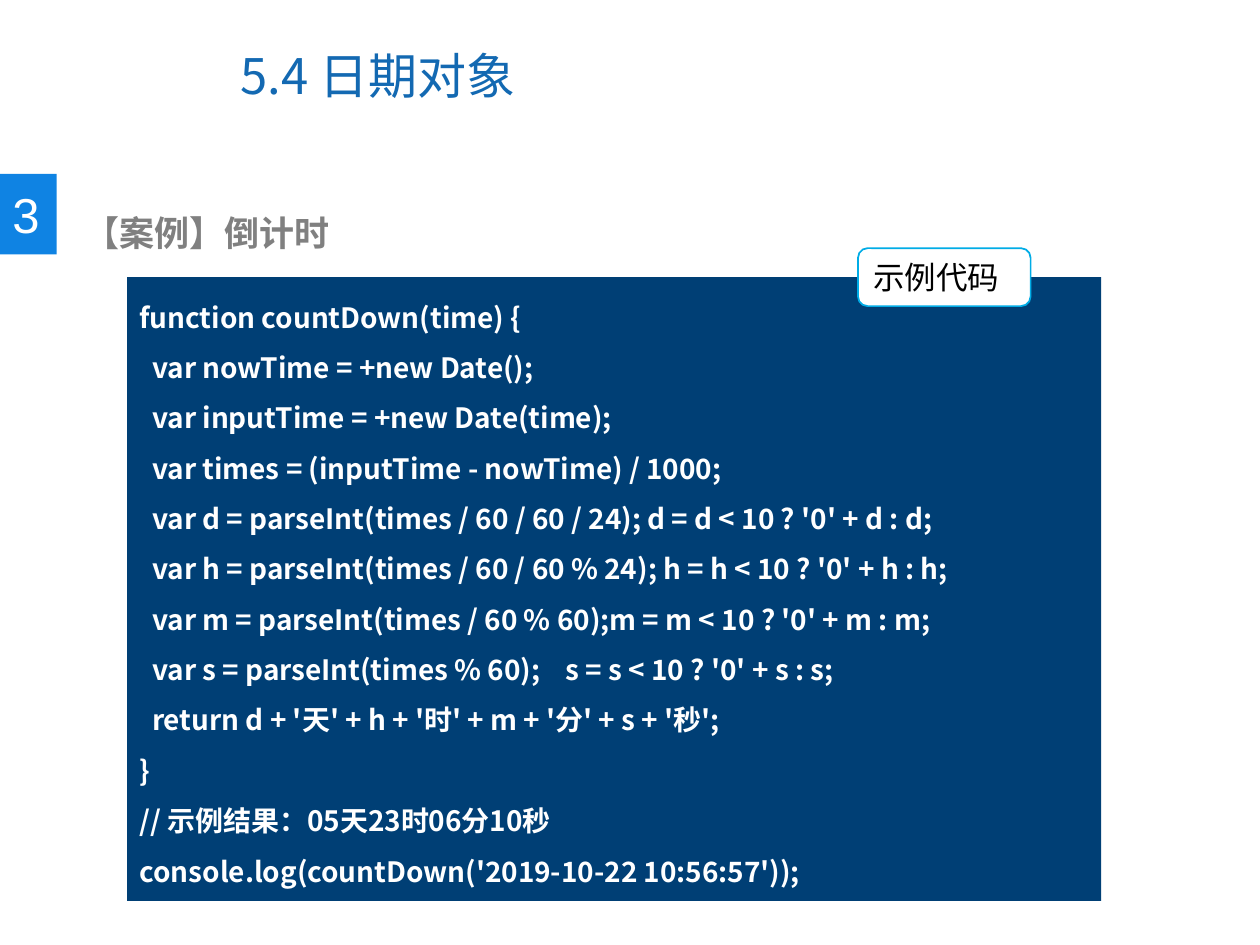
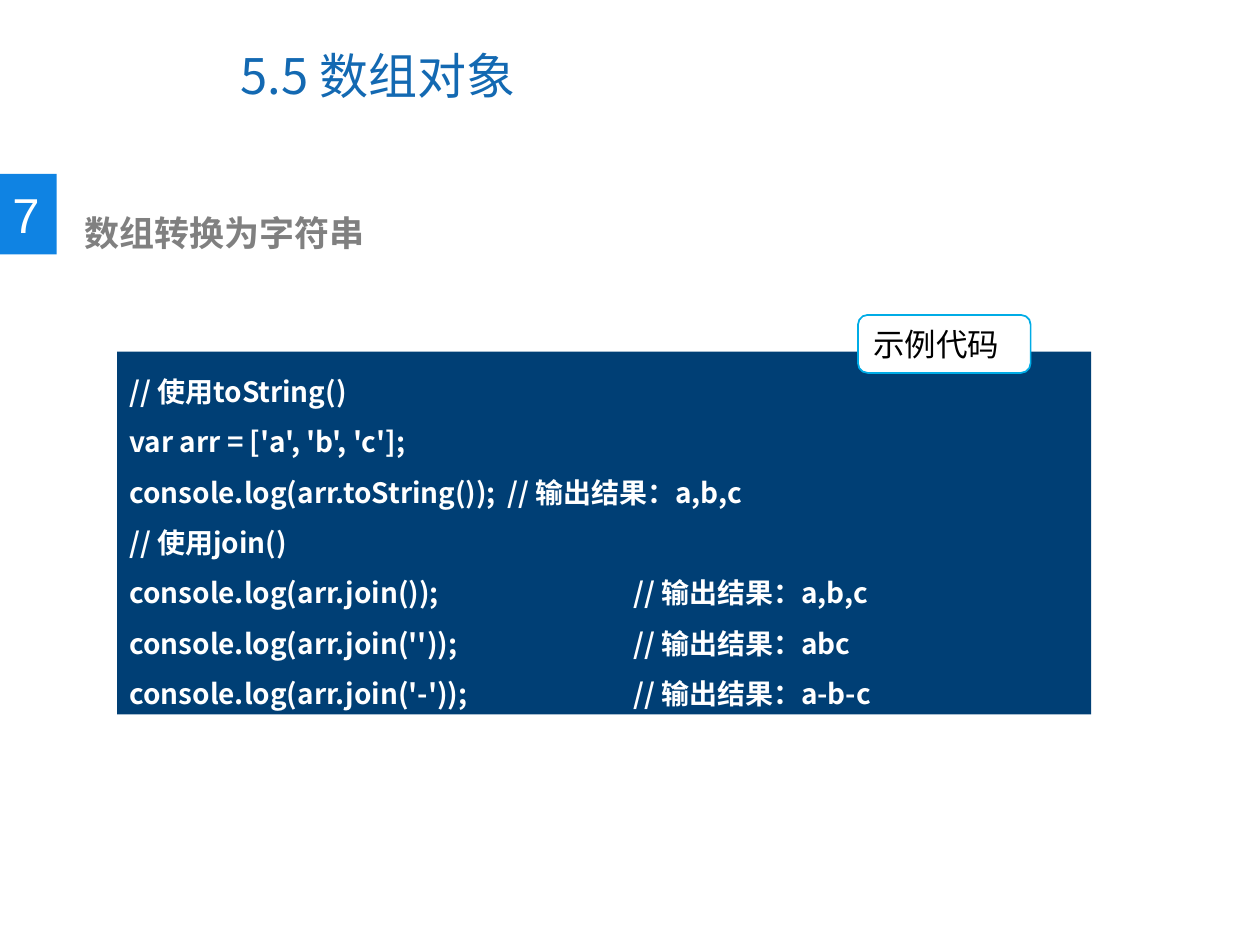
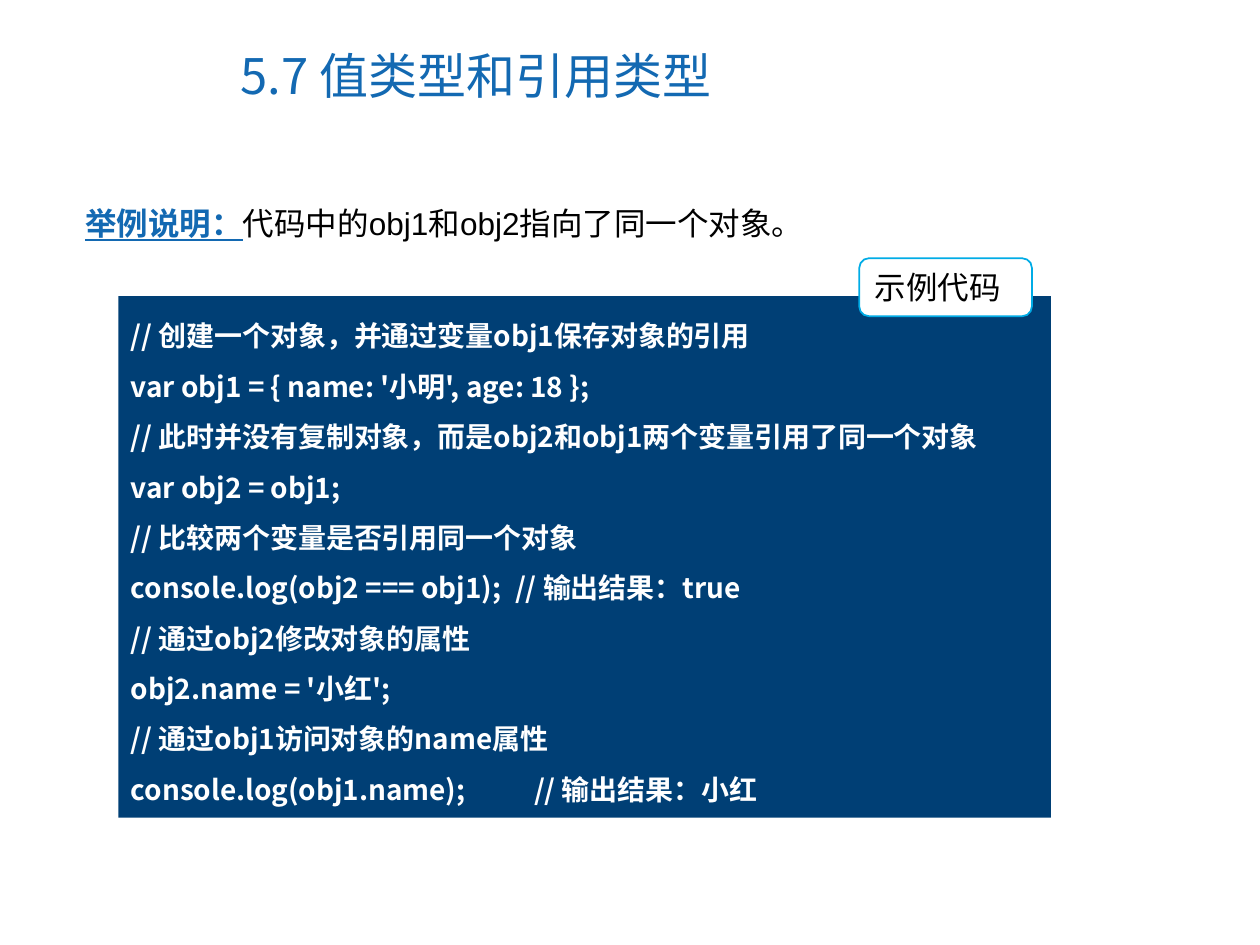
from lxml import etree
from pptx import Presentation
from pptx.dml.color import RGBColor
from pptx.enum.shapes import MSO_SHAPE
from pptx.enum.text import MSO_ANCHOR, PP_ALIGN
from pptx.oxml.ns import qn
from pptx.util import Inches, Pt

RECTANGLE, ROUNDED = MSO_SHAPE.RECTANGLE, MSO_SHAPE.ROUNDED_RECTANGLE
TOP, MIDDLE, LEFT = MSO_ANCHOR.TOP, MSO_ANCHOR.MIDDLE, PP_ALIGN.LEFT
CJK, LATIN = "Noto Sans CJK SC", "Arial"
TITLE_BLUE, BADGE_BLUE, CODE_BLUE, TAG_BLUE = "1369B2", "0F83E3", "003F75", "00ACE6"
WHITE, BLACK, GREY = "FFFFFF", "000000", "808080"
TITLE_BOX = (1.81, 0.17, 5.16, 0.85)
BADGE_BOX = (0, 1.38, 0.45, 0.64)
HEADING_BOX = (0.57, 1.63, 5.04, 0.44)
EXAMPLE_BOX = (0.58, 1.27, 8.98, 0.71)
TAG_WIDTH, TAG_HEIGHT = 1.37, 0.46
INDENT = 0.1

lessons = [
    {
        "title": "5.4 日期对象",
        "number": "3",
        "heading": [("【案例】倒计时", {"size": 20, "color": GREY, "bold": True})],
        "panel": (1.01, 2.2, 7.73, 4.95),
        "tag": (6.81, 1.97),
        "tabs": [3.28],
        "code": """function countDown(time) {
  var nowTime = +new Date();
  var inputTime = +new Date(time);
  var times = (inputTime - nowTime) / 1000;
  var d = parseInt(times / 60 / 60 / 24); d = d < 10 ? '0' + d : d;
  var h = parseInt(times / 60 / 60 % 24); h = h < 10 ? '0' + h : h;
  var m = parseInt(times / 60 % 60);m = m < 10 ? '0' + m : m;
  var s = parseInt(times % 60);\ts = s < 10 ? '0' + s : s;
  return d + '天' + h + '时' + m + '分' + s + '秒';
}
// 示例结果：05天23时06分10秒
console.log(countDown('2019-10-22 10:56:57'));""",
    },
    {
        "title": "5.5 数组对象",
        "number": "7",
        "heading": [("数组转换为字符串", {"size": 20, "color": GREY, "bold": True})],
        "panel": (0.93, 2.79, 7.73, 2.88),
        "tag": (6.81, 2.5),
        "tabs": [3, 4],
        "code": """// 使用toString()
var arr = ['a', 'b', 'c'];
console.log(arr.toString());\t// 输出结果：a,b,c
// 使用join()
console.log(arr.join());\t\t// 输出结果：a,b,c
console.log(arr.join(''));\t\t// 输出结果：abc
console.log(arr.join('-'));\t\t// 输出结果：a-b-c""",
    },
    {
        "title": "5.7 值类型和引用类型",
        "heading": [
            ("举例说明：", {"color": TITLE_BLUE, "bold": True, "underline": True}),
            ("代码中的obj1和obj2指向了同一个对象。", {}),
        ],
        "panel": (0.94, 2.35, 7.4, 4.14),
        "tag": (6.82, 2.05),
        "tabs": [3.05, 3.2],
        "code": """// 创建一个对象，并通过变量obj1保存对象的引用
var obj1 = { name: '小明', age: 18 };
// 此时并没有复制对象，而是obj2和obj1两个变量引用了同一个对象
var obj2 = obj1;
// 比较两个变量是否引用同一个对象
console.log(obj2 === obj1);\t// 输出结果：true
// 通过obj2修改对象的属性
obj2.name = '小红';
// 通过obj1访问对象的name属性
console.log(obj1.name);\t\t// 输出结果：小红""",
    },
]


def write(paragraph, text, size=18, color=BLACK, font=LATIN, bold=False, underline=False, spacing=1.0):
    paragraph.alignment = LEFT
    paragraph.line_spacing = spacing
    run = paragraph.add_run()
    run.text = text
    run.font.size = Pt(size)
    run.font.bold = bold
    run.font.underline = underline
    run.font.color.rgb = RGBColor.from_string(color)
    run.font.name = font
    etree.SubElement(run.font._element, qn("a:ea"), typeface=CJK)


def add_block(slide, kind, box, fill, line=None, anchor=MIDDLE):
    block = slide.shapes.add_shape(kind, *map(Inches, box))
    block.shadow.inherit = False
    block.fill.solid()
    block.fill.fore_color.rgb = RGBColor.from_string(fill)
    if line:
        block.line.color.rgb = RGBColor.from_string(line)
        block.line.width = Pt(1)
    else:
        block.line.fill.background()
    block.text_frame.vertical_anchor = anchor
    return block.text_frame


deck = Presentation()
deck.slide_width, deck.slide_height = Inches(10), Inches(7.5)
title_only = deck.slide_layouts[5]

for lesson in lessons:
    slide = deck.slides.add_slide(title_only)
    title = slide.shapes.title
    title.left, title.top, title.width, title.height = map(Inches, TITLE_BOX)
    title.text_frame.vertical_anchor = MIDDLE
    write(title.text_frame.paragraphs[0], lesson["title"], size=28, color=TITLE_BLUE, font=CJK)

    numbered = "number" in lesson
    if numbered:
        badge = add_block(slide, RECTANGLE, BADGE_BOX, BADGE_BLUE)
        badge.word_wrap = False
        write(badge.paragraphs[0], lesson["number"], size=28, color=WHITE)

    heading = slide.shapes.add_textbox(*map(Inches, HEADING_BOX if numbered else EXAMPLE_BOX)).text_frame
    heading.word_wrap = True
    for words, style in lesson["heading"]:
        write(heading.paragraphs[0], words, spacing=1.0 if numbered else 2.0, **style)

    panel = add_block(slide, RECTANGLE, lesson["panel"], CODE_BLUE, anchor=TOP)
    for row, statement in enumerate(lesson["code"].split("\n")):
        line = panel.add_paragraph() if row else panel.paragraphs[0]
        write(line, statement.lstrip(), size=16, color=WHITE, font=CJK, bold=True, spacing=1.5)
        properties = line._p.get_or_add_pPr()
        if statement.startswith(" "):
            properties.set("marL", str(Inches(INDENT)))
        if "\t" in statement:
            stops = etree.SubElement(properties, qn("a:tabLst"))
            for stop in lesson["tabs"]:
                etree.SubElement(stops, qn("a:tab"), pos=str(Inches(stop)), algn="l")

    tag = add_block(slide, ROUNDED, (*lesson["tag"], TAG_WIDTH, TAG_HEIGHT), WHITE, line=TAG_BLUE)
    write(tag.paragraphs[0], "示例代码")

deck.save("out.pptx")
